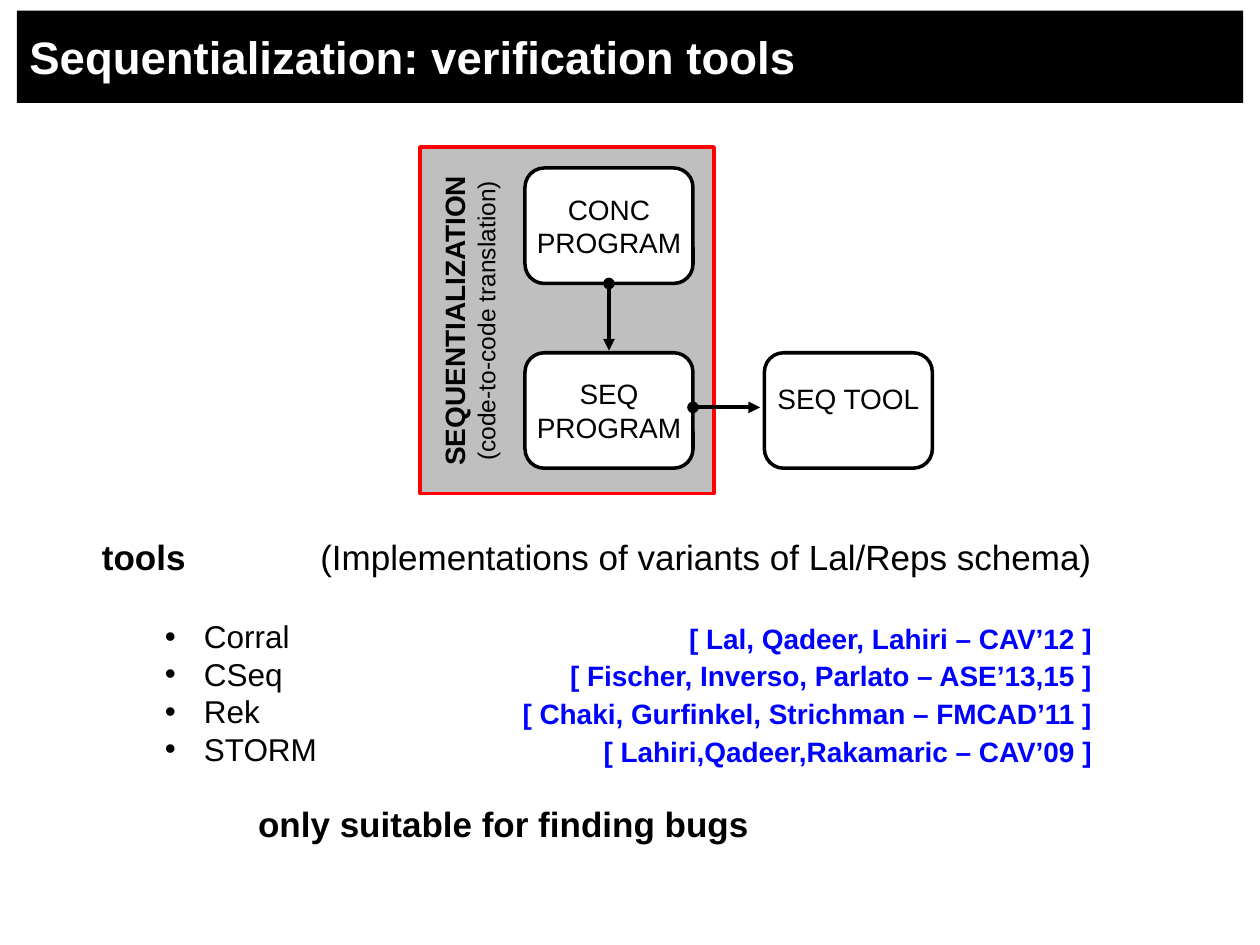
from dataclasses import dataclass
from typing import Any

from pptx import Presentation
from pptx.dml.color import RGBColor
from pptx.enum.shapes import MSO_CONNECTOR, MSO_SHAPE
from pptx.enum.text import MSO_ANCHOR, MSO_AUTO_SIZE, PP_ALIGN
from pptx.oxml.ns import qn
from pptx.util import Inches, Pt

COLUMNS, ROWS = 60, 45
LIST_SPACING, HEADING_SPACING = 21.5, 25
LIST_GAP, CONCLUSION_GAP = 23, 19
TOOLS = {
    "Corral": "[ Lal, Qadeer, Lahiri – CAV’12 ]",
    "CSeq": "[ Fischer, Inverso, Parlato – ASE’13,15 ]",
    "Rek": "[ Chaki, Gurfinkel, Strichman – FMCAD’11 ]",
    "STORM": "[ Lahiri,Qadeer,Rakamaric – CAV’09 ]",
}


def color(value):
    """Turn a hex string into a colour."""
    return RGBColor.from_string(value)


@dataclass
class SlideBuilder:
    """Hold the style and the slide, and place elements on a grid."""
    presentation: Any
    slide: Any
    font: str = "Arial"
    ink: str = "000000"

    def place(self, left, top, width, height):
        """Convert grid columns and rows into lengths."""
        column = self.presentation.slide_width / COLUMNS
        row = self.presentation.slide_height / ROWS
        return [int(left * column), int(top * row), int(width * column), int(height * row)]

    def move(self, shape, *cells):
        """Move a placeholder to grid cells."""
        for name, value in zip(("left", "top", "width", "height"), self.place(*cells)):
            setattr(shape, name, value)

    def set_lines(self, shape, lines, frame_format=None):
        """Put lines, each a text with its format values, into a shape."""
        frame = shape.text_frame
        settings = {"word_wrap": True, "auto_size": MSO_AUTO_SIZE.NONE, **(frame_format or {})}
        for name, value in settings.items():
            setattr(frame, name, value)
        for index, (text, style) in enumerate(lines):
            paragraph = frame.add_paragraph() if index else frame.paragraphs[0]
            self.indent(paragraph, style)
            spacing = style.get("spacing")
            paragraph_format = {
                "alignment": style.get("align", PP_ALIGN.LEFT),
                "space_before": Pt(style.get("before", 0)),
                "line_spacing": Pt(spacing) if spacing else 1.0,
            }
            for name, value in paragraph_format.items():
                setattr(paragraph, name, value)
            run = paragraph.add_run()
            run.text = text
            font_format = {"name": self.font, "size": Pt(style["size"]), "bold": style.get("bold", False)}
            for name, value in font_format.items():
                setattr(run.font, name, value)
            run.font.color.rgb = color(style.get("color", self.ink))

    def indent(self, paragraph, style):
        """Set the left margin and the bullet of a paragraph."""
        properties = paragraph._p.get_or_add_pPr()
        properties.set("marL", str(Inches(style.get("margin", 0))))
        properties.set("indent", str(Inches(style.get("hanging", 0))))
        if "hanging" in style:
            bullet = properties.makeelement(qn("a:buChar"), {"char": "•"})
        else:
            bullet = properties.makeelement(qn("a:buNone"), {})
        properties.append(bullet)

    def title(self, text, *cells):
        """Fill the title placeholder as a black banner."""
        shape = self.slide.shapes.title
        self.move(shape, *cells)
        shape.fill.solid()
        shape.fill.fore_color.rgb = color(self.ink)
        style = {"size": 26, "bold": True, "color": "FFFFFF"}
        self.set_lines(shape, [(text, style)], {"vertical_anchor": MSO_ANCHOR.MIDDLE})

    def body(self, lines, *cells):
        """Fill the body placeholder."""
        shape = self.slide.placeholders[1]
        self.move(shape, *cells)
        self.set_lines(shape, lines, {"vertical_anchor": MSO_ANCHOR.TOP})

    def text(self, lines, *cells, rotation=0):
        """Add a text box."""
        shape = self.slide.shapes.add_textbox(*self.place(*cells))
        shape.rotation = rotation
        self.set_lines(shape, lines)

    def box(self, kind, fill, line, *cells):
        """Add a filled and outlined shape."""
        shape = self.slide.shapes.add_shape(kind, *self.place(*cells))
        shape.shadow.inherit = False
        shape.fill.solid()
        shape.fill.fore_color.rgb = color(fill)
        shape.line.color.rgb = color(line)
        shape.line.width = Pt(2)
        return shape

    def node(self, words, left, top, anchor=MSO_ANCHOR.MIDDLE, inset=0.0):
        """Add a rounded program box with centred words."""
        shape = self.box(MSO_SHAPE.ROUNDED_RECTANGLE, "FFFFFF", self.ink, left, top, 8, 5.5)
        style = {"size": 16, "align": PP_ALIGN.CENTER}
        frame_format = {"vertical_anchor": anchor, "margin_left": 0, "margin_right": 0,
                        "margin_top": Inches(inset), "margin_bottom": 0}
        self.set_lines(shape, [(word, style) for word in words], frame_format)

    def arrow(self, *cells):
        """Add an arrow that starts with an oval and ends with a triangle."""
        connector = self.slide.shapes.add_connector(MSO_CONNECTOR.STRAIGHT, *self.place(*cells))
        connector.line.color.rgb = color(self.ink)
        connector.line.width = Pt(2.25)
        properties = connector._element.spPr
        outline = properties.find(qn("a:ln"))
        for tag, kind in (("a:headEnd", "oval"), ("a:tailEnd", "triangle")):
            outline.append(outline.makeelement(qn(tag), {"type": kind}))
        properties.append(properties.makeelement(qn("a:effectLst"), {}))


def main():
    """Build the slide and save it."""
    presentation = Presentation()
    presentation.slide_width, presentation.slide_height = Inches(10), Inches(7.5)
    slide = presentation.slides.add_slide(presentation.slide_layouts[1])
    builder = SlideBuilder(presentation, slide)
    builder.title("Sequentialization: verification tools", 0.8, 0.5, 58.4, 4.4)

    heading = {"size": 20, "spacing": HEADING_SPACING}
    item = {"size": 18, "margin": 1.31, "hanging": -0.31, "spacing": LIST_SPACING}
    reference = {"size": 16, "bold": True, "color": "0000FF",
                 "align": PP_ALIGN.RIGHT, "spacing": LIST_SPACING}
    names = [("tools", {**heading, "bold": True, "margin": 0.5})]
    references = [("(Implementations of variants of Lal/Reps schema)",
                   {**heading, "align": PP_ALIGN.RIGHT})]
    for index, (name, source) in enumerate(TOOLS.items()):
        before = 0 if index else LIST_GAP
        names.append((name, {**item, "before": before}))
        references.append((source, {**reference, "before": before}))
    names.append(("only suitable for finding bugs",
                  {**heading, "bold": True, "margin": 1.74, "before": CONCLUSION_GAP}))
    builder.body(names, 1.25, 25.1, 57.5, 19.1)
    builder.text(references, 13.6, 25.1, 39, 12)

    builder.box(MSO_SHAPE.RECTANGLE, "BFBFBF", "FF0000", 20, 7, 14, 16.5)
    builder.node(["CONC", "PROGRAM"], 25, 8)
    builder.node(["SEQ", "PROGRAM"], 25, 16.8)
    builder.node(["SEQ TOOL"], 36.4, 16.8, MSO_ANCHOR.TOP, 0.18)
    builder.arrow(29, 13.5, 29, 16.7)
    builder.arrow(33, 19.4, 36.2, 19.4)
    centered = {"align": PP_ALIGN.CENTER}
    builder.text([("SEQUENTIALIZATION", {**centered, "size": 16, "bold": True}),
                  ("(code-to-code translation)", {**centered, "size": 14})],
                 14.6, 13.45, 15.5, 3.65, rotation=270)
    presentation.save("out.pptx")


if __name__ == "__main__":
    main()
